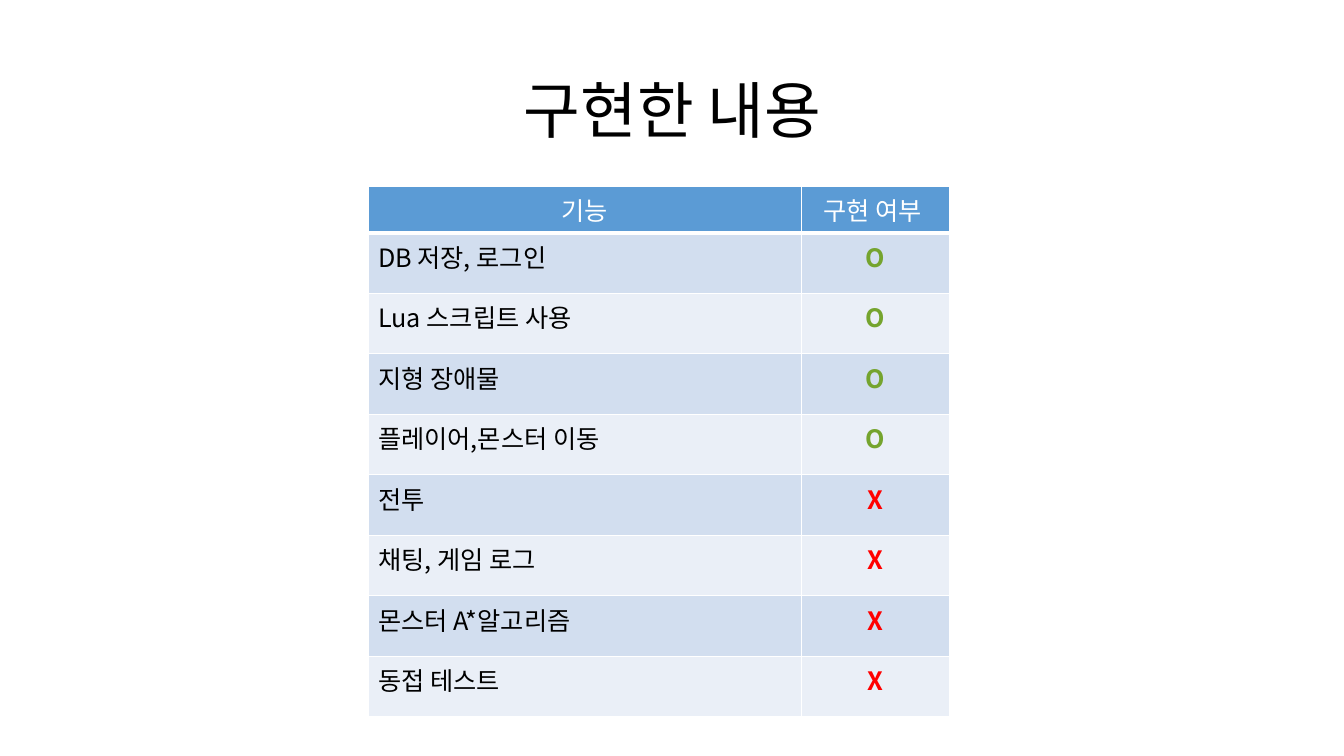
"""Build the slide that lists which game features were implemented."""
import pptx
import pptx.util
import pptx.dml.color
import pptx.enum.text
import pptx.oxml
import pptx.oxml.ns
import lxml.etree
from dataclasses import dataclass

Inches = pptx.util.Inches
ALIGN = pptx.enum.text.PP_ALIGN


@dataclass(frozen=True)
class Theme:
    font: str = "Noto Sans CJK KR"
    title_size: int = 44
    table_size: int = 18
    black: str = "000000"
    white: str = "FFFFFF"
    header: str = "5B9BD5"
    bands: tuple = ("D2DEEF", "EAEFF7")
    done: str = "75A42E"
    missing: str = "FF0000"


theme = Theme()
rgb = pptx.dml.color.RGBColor.from_string
qn = pptx.oxml.ns.qn


def write(tf, text, size=theme.table_size, color=theme.black, bold=False,
          align=ALIGN.LEFT, spacing=None):
    p = tf.paragraphs[0]
    p.alignment = align
    p.line_spacing = spacing
    r = p.add_run()
    r.text = text
    r.font.name = theme.font
    r.font.size = pptx.util.Pt(size)
    r.font.bold = bold
    r.font.color.rgb = rgb(color)
    ea = lxml.etree.SubElement(r.font._element, qn("a:ea"))
    ea.set("typeface", theme.font)


def style_cell(cell, fill, bottom=1):
    tcPr = cell._tc.get_or_add_tcPr()
    for side, width in (("L", 1), ("R", 1), ("T", 1), ("B", bottom)):
        ln = lxml.etree.SubElement(tcPr, qn(f"a:ln{side}"), w=str(pptx.util.Pt(width)))
        solid = lxml.etree.SubElement(ln, qn("a:solidFill"))
        lxml.etree.SubElement(solid, qn("a:srgbClr"), val=theme.white)
    cell.fill.solid()
    cell.fill.fore_color.rgb = rgb(fill)


prs = pptx.Presentation()
prs.slide_width = Inches(13.33)
prs.slide_height = Inches(7.5)
s = prs.slides.add_slide(prs.slide_layouts[6])

title = s.shapes.add_textbox(Inches(0.92), Inches(0.4), Inches(11.5), Inches(1.45))
tf = title.text_frame
tf.word_wrap = True
tf.vertical_anchor = pptx.enum.text.MSO_ANCHOR.MIDDLE
write(tf, "구현한 내용", size=theme.title_size, align=ALIGN.CENTER, spacing=0.9)

features = [
    ("DB\u00a0저장, 로그인", "O"),
    ("Lua 스크립트 사용", "O"),
    ("지형 장애물", "O"),
    ("플레이어,몬스터 이동", "O"),
    ("전투", "X"),
    ("채팅,\u00a0게임 로그", "X"),
    ("몬스터 A*알고리즘", "X"),
    ("동접 테스트", "X"),
]
mark_colors = {"O": theme.done, "X": theme.missing}

table = s.shapes.add_table(len(features) + 1, 2, Inches(3.65), Inches(1.85),
                           Inches(5.77), Inches(5.24)).table
for column, width in zip(table.columns, (4.3, 1.47)):
    column.width = Inches(width)
for row in table.rows:
    row.height = Inches(0.6)
table.rows[0].height = Inches(0.46)

for cell, heading in zip(table.rows[0].cells, ("기능", "구현 여부\u00a0")):
    style_cell(cell, theme.header, bottom=3)
    write(cell.text_frame, heading, color=theme.white, align=ALIGN.CENTER)

for i, (feature, mark) in enumerate(features):
    name_cell, mark_cell = table.rows[i + 1].cells
    for cell in (name_cell, mark_cell):
        style_cell(cell, theme.bands[i % 2])
    write(name_cell.text_frame, feature)
    write(mark_cell.text_frame, mark, color=mark_colors[mark], bold=True, align=ALIGN.CENTER)

prs.save("out.pptx")
